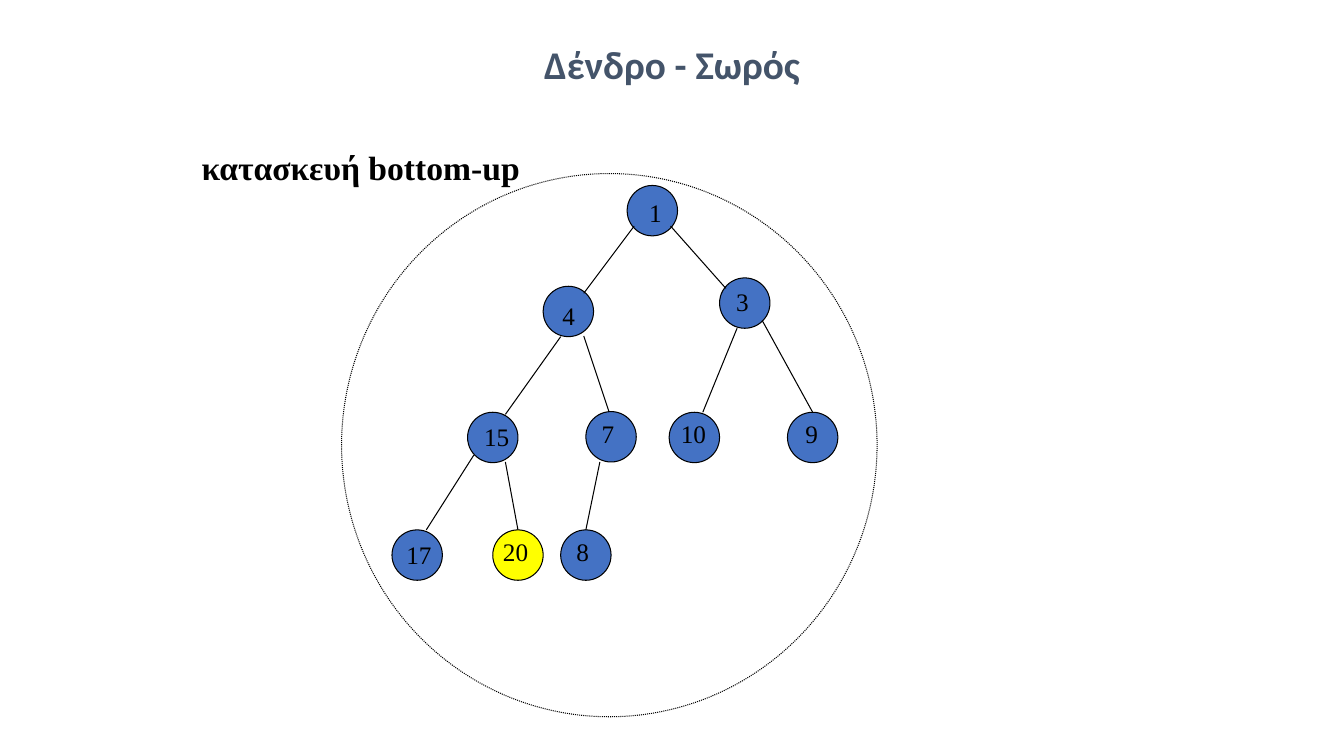
from pptx import Presentation
from pptx.dml.color import RGBColor
from pptx.enum.dml import MSO_LINE
from pptx.enum.shapes import MSO_CONNECTOR, MSO_SHAPE
from pptx.enum.text import MSO_ANCHOR, PP_ALIGN
from pptx.oxml.ns import qn
from pptx.util import Pt
from lxml.etree import SubElement

TITLE = "Δένδρο - Σωρός"
CAPTION = "κατασκευή bottom-up"
COLORS = {"node": "4472C4", "new": "FFFF00", "ink": "000000", "title": "44546A"}

# value: node left, node top, label left, label top
NODES = {
    1: (448, 132.5, 456.5, 137.5),
    4: (388, 204.5, 394.5, 211),
    15: (334, 294.5, 338.5, 297.5),
    7: (418.5, 294, 422.5, 295),
    3: (514, 198.5, 518.5, 201),
    9: (562.5, 294.5, 568, 295),
    10: (478, 294.5, 479, 295),
    8: (400.5, 378.5, 404.5, 379.5),
    20: (352, 378.5, 352, 379.5),
    17: (280, 378.5, 283, 381.5),
}
ADDED = 20
EDGES = [
    (453, 161.5, 417, 209.5),
    (400.5, 240.5, 361, 296),
    (338.5, 325, 304.5, 378.5),
    (361, 330, 370, 378.5),
    (417, 240, 435, 294),
    (428.5, 330, 418.5, 378.5),
    (479, 161.5, 518.5, 206),
    (544.5, 229, 580.5, 294.5),
    (526.5, 234.5, 502, 294.5),
]
RING = (244, 124, 382.5, 388)
SIZE = 36
FONTS = {
    "title": {"name": "Calibri", "size": Pt(28), "bold": True},
    "caption": {"name": "Times New Roman", "size": Pt(24), "bold": True},
    "label": {"name": "Times New Roman", "size": Pt(18), "bold": False},
}


def paint(line):
    line.color.rgb = RGBColor.from_string(COLORS["ink"])
    line.width = Pt(0.75)


def write(frame, text, kind, color, align):
    para = frame.paragraphs[0]
    para.alignment = align
    run = para.add_run()
    run.text = text
    for key, value in FONTS[kind].items():
        setattr(run.font, key, value)
    run.font.color.rgb = RGBColor.from_string(COLORS[color])


def add_oval(slide, box, fill=None):
    oval = slide.shapes.add_shape(MSO_SHAPE.OVAL, *map(Pt, box))
    oval.shadow.inherit = False
    paint(oval.line)
    if fill:
        oval.fill.solid()
        oval.fill.fore_color.rgb = RGBColor.from_string(COLORS[fill])
    else:
        oval.fill.background()
    return oval


def add_text(slide, box, text, kind, align):
    frame = slide.shapes.add_textbox(*map(Pt, box)).text_frame
    frame.word_wrap = False
    write(frame, text, kind, "ink", align)


def main():
    deck = Presentation()
    deck.slide_width, deck.slide_height = Pt(960), Pt(540)
    slide = deck.slides.add_slide(deck.slide_layouts[5])

    title = slide.shapes.title
    place = {"left": 174, "top": 26, "width": 612, "height": 39.5}
    for key, value in place.items():
        setattr(title, key, Pt(value))
    title.text_frame.vertical_anchor = MSO_ANCHOR.MIDDLE
    write(title.text_frame, TITLE, "title", "title", PP_ALIGN.CENTER)

    add_oval(slide, RING).line.dash_style = MSO_LINE.ROUND_DOT
    for value, (left, top, *_) in NODES.items():
        fill = "new" if value == ADDED else "node"
        add_oval(slide, (left, top, SIZE, SIZE), fill)

    for edge in EDGES:
        link = slide.shapes.add_connector(MSO_CONNECTOR.STRAIGHT, *map(Pt, edge))
        paint(link.line)
        SubElement(link._element.spPr, qn("a:effectLst"))

    for value, (*_, left, top) in NODES.items():
        text = str(value)
        box = (left, top, 14.5 + 9 * len(text), 29)
        add_text(slide, box, text, "label", PP_ALIGN.CENTER)
    add_text(slide, (137, 101.5, 244, 36.5), CAPTION, "caption", PP_ALIGN.LEFT)

    deck.save("out.pptx")


if __name__ == "__main__":
    main()
